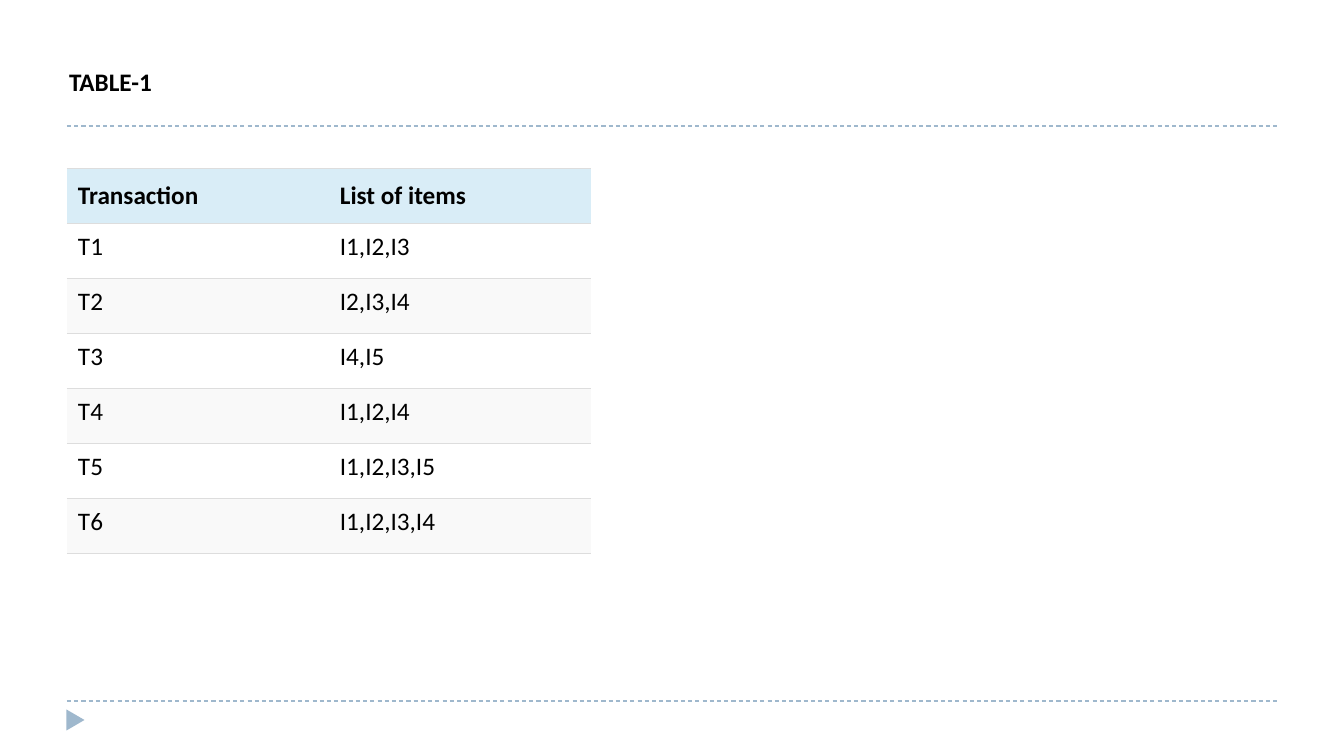
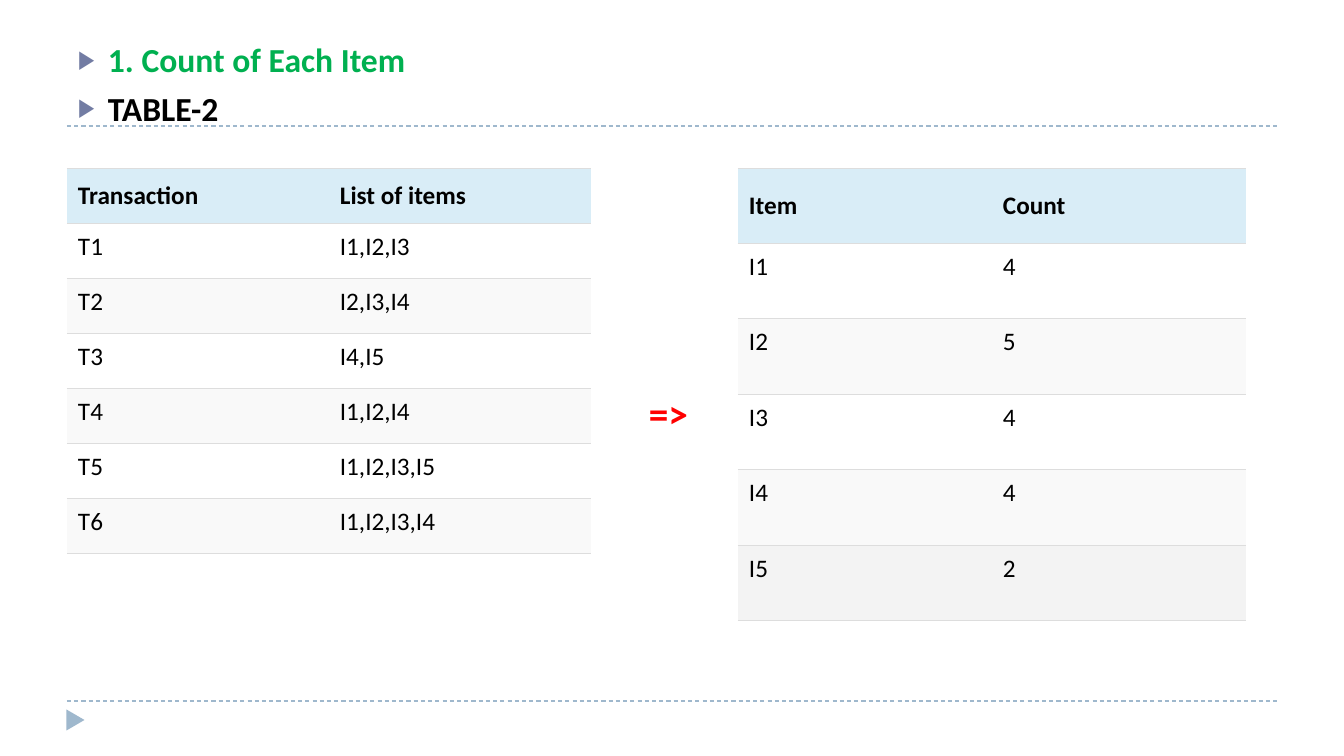
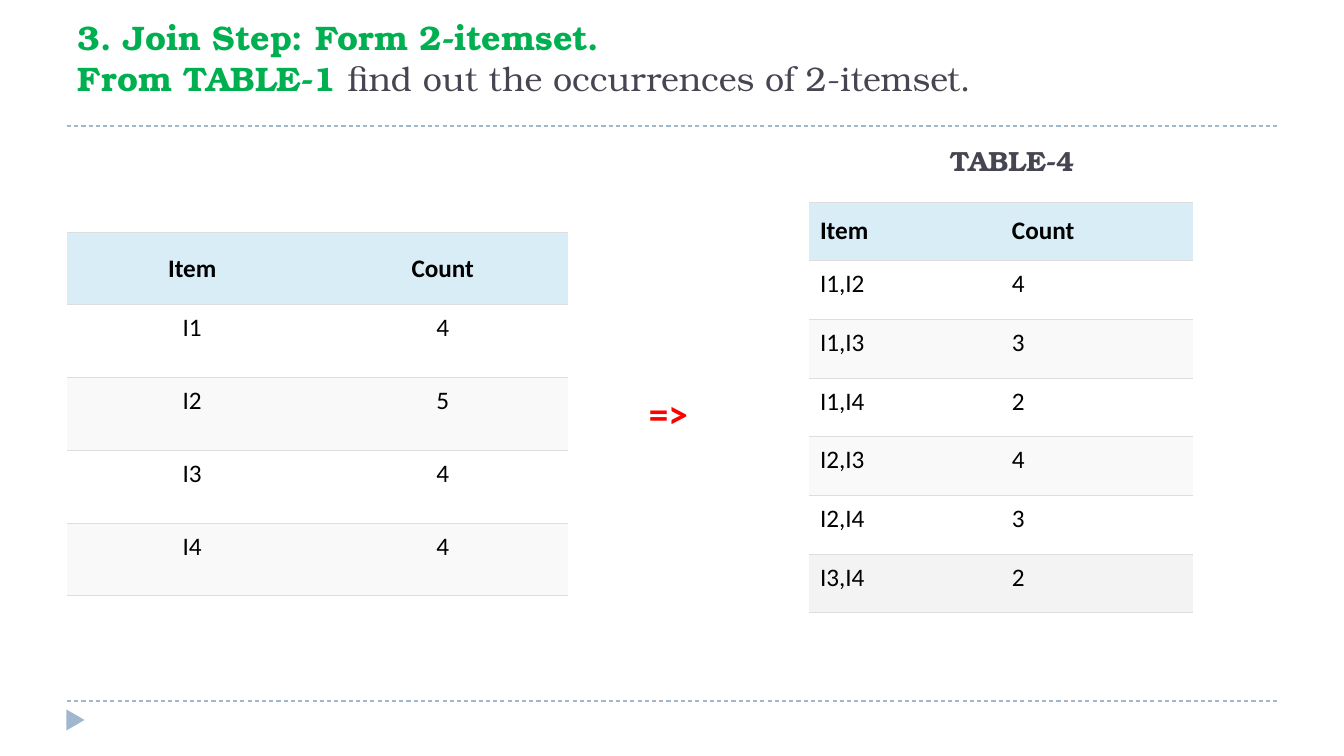
from dataclasses import dataclass

from lxml import etree
from pptx import Presentation
from pptx.dml.color import RGBColor
from pptx.enum.dml import MSO_LINE
from pptx.enum.shapes import MSO_CONNECTOR, MSO_SHAPE
from pptx.enum.text import MSO_ANCHOR as Anchor, MSO_AUTO_SIZE as AutoSize, PP_ALIGN as Align
from pptx.oxml import parse_xml
from pptx.oxml.ns import nsdecls, qn
from pptx.util import Pt


@dataclass(frozen=True)
class Style:
    size: float
    color: str
    bold: bool = True
    font: str = "Calibri"


class Theme:
    # Colours
    frame = "9FB8CD"
    bullet = "727CA3"
    header_fill = "D9EDF7"
    row_fills = ("FFFFFF", "F9F9F9")
    last_fill = "F3F3F3"
    rule = "DDDDDD"
    # Text styles
    table_head = Style(18, "000000")
    table_body = Style(18, "000000", bold=False)
    label = Style(18, "000000")
    step = Style(24, "00B050")
    table_name = Style(24, "000000")
    arrow = Style(28, "FF0000")
    join_step = Style(24.3, "00B050", font="TeX Gyre Bonum")
    join_text = Style(24.3, "464653", bold=False, font="TeX Gyre Bonum")
    join_label = Style(19.8, "464653", font="TeX Gyre Bonum")


# Content
TRANSACTIONS = [
    ("Transaction", "List of items"),
    ("T1", "I1,I2,I3"),
    ("T2", "I2,I3,I4"),
    ("T3", "I4,I5"),
    ("T4", "I1,I2,I4"),
    ("T5", "I1,I2,I3,I5"),
    ("T6", "I1,I2,I3,I4"),
]
FREQUENT_ITEMS = [("Item", "Count"), ("I1", "4"), ("I2", "5"), ("I3", "4"), ("I4", "4")]
ITEM_COUNTS = FREQUENT_ITEMS + [("I5", "2")]
PAIR_COUNTS = [
    ("Item", "Count"),
    ("I1,I2", "4"),
    ("I1,I3", "3"),
    ("I1,I4", "2"),
    ("I2,I3", "4"),
    ("I2,I4", "3"),
    ("I3,I4", "2"),
]
TABLE_1_TITLE = [[("TABLE-1", Theme.label)]]
COUNT_STEP = [
    [("1. Count of Each Item", Theme.step)],
    [("TABLE-2", Theme.table_name)],
]
JOIN_STEP = [
    [("3. Join Step: Form 2-itemset.", Theme.join_step)],
    [("From TABLE-1 ", Theme.join_step),
     ("find out the occurrences of 2-itemset.", Theme.join_text)],
]
TABLE_4_LABEL = [[("TABLE-4", Theme.join_label)]]
ARROW = [[("=>", Theme.arrow)]]

# Geometry in px: left, top, width, height
SLIDE_WIDTH, SLIDE_HEIGHT = 1344, 756
EMU_PER_PX = 12192000 / SLIDE_WIDTH
MARGIN, CONTENT_WIDTH = 67, 1210
RULE_TOPS = (126, 701)
MARKER_BOX = (65, 711, 21, 18)
TRANSACTIONS_BOX = (MARGIN, 168, 524, 386)
ARROW_BOX = (639, 384, 67, 57)
TEXT_INSETS = (10, 5)
PLACEHOLDER_INSETS = (11, 6)
CELL_INSETS = (11, 8)
BULLET_INDENT = 30
TITLE_ONLY, TITLE_AND_CONTENT = 5, 1


def px(*lengths):
    return [round(length * EMU_PER_PX) for length in lengths]


def rgb(color):
    return RGBColor.from_string(color)


def apply_style(font, style):
    font.name, font.size, font.bold = style.font, Pt(style.size), style.bold
    font.color.rgb = rgb(style.color)


def add_bullet(paragraph):
    properties = paragraph._p.get_or_add_pPr()
    [indent] = px(BULLET_INDENT)
    properties.set("marL", str(indent))
    properties.set("indent", str(-indent))
    color = etree.SubElement(properties, qn("a:buClr"))
    etree.SubElement(color, qn("a:srgbClr"), val=Theme.bullet)
    etree.SubElement(properties, qn("a:buSzPct"), val="76000")
    etree.SubElement(properties, qn("a:buChar"), char="▶")


def fill_text(shape, box, paragraphs, insets=TEXT_INSETS, wrap=False, bullets=False, gap=0):
    """Place a text box or placeholder and write its styled paragraphs."""
    shape.left, shape.top, shape.width, shape.height = px(*box)
    frame = shape.text_frame
    frame.word_wrap, frame.auto_size = wrap, AutoSize.NONE
    frame.vertical_anchor = Anchor.TOP
    frame.margin_left, frame.margin_top = frame.margin_right, frame.margin_bottom = px(*insets)
    for index, runs in enumerate(paragraphs):
        paragraph = frame.add_paragraph() if index else frame.paragraphs[0]
        paragraph.alignment = Align.LEFT
        paragraph.space_before = Pt(gap if index else 0)
        if bullets:
            add_bullet(paragraph)
        for text, style in runs:
            run = paragraph.add_run()
            run.text = text
            if len(runs) > 1:
                apply_style(run.font, style)
        if len(runs) == 1:
            apply_style(paragraph.font, runs[0][1])


def add_text(slide, box, paragraphs, **options):
    fill_text(slide.shapes.add_textbox(*px(*box)), box, paragraphs, **options)


def add_cell_rules(cell):
    properties = cell._tc.get_or_add_tcPr()
    for side in ("lnB", "lnT"):
        properties.insert(0, parse_xml(
            f'<a:{side} {nsdecls("a")} w="{Pt(0.75)}"><a:solidFill>'
            f'<a:srgbClr val="{Theme.rule}"/></a:solidFill></a:{side}>'))


def add_data_table(slide, box, rows, align=Align.LEFT, shade_last=False):
    left, top, width, height = px(*box)
    table = slide.shapes.add_table(len(rows), len(rows[0]), left, top, width, height).table
    table.first_row = table.horz_banding = False
    # Plain table style without a grid
    table._tbl.tblPr.find(qn("a:tableStyleId")).text = "{2D5ABB26-0587-4C30-8999-92F81FD0307C}"
    for row_index, values in enumerate(rows):
        table.rows[row_index].height = height // len(rows)
        is_header = row_index == 0
        if is_header:
            fill = Theme.header_fill
        elif shade_last and row_index == len(rows) - 1:
            fill = Theme.last_fill
        else:
            fill = Theme.row_fills[(row_index - 1) % 2]
        for column_index, value in enumerate(values):
            cell = table.cell(row_index, column_index)
            cell.margin_left, cell.margin_top = cell.margin_right, cell.margin_bottom = px(*CELL_INSETS)
            cell.vertical_anchor = Anchor.MIDDLE if is_header else Anchor.TOP
            cell.fill.solid()
            cell.fill.fore_color.rgb = rgb(fill)
            add_cell_rules(cell)
            cell.text = value
            paragraph = cell.text_frame.paragraphs[0]
            paragraph.alignment = align
            apply_style(paragraph.font, Theme.table_head if is_header else Theme.table_body)


def add_master_frame(slide):
    """Draw the dashed rules and corner marker, then move them to the master."""
    parts = []
    for top in RULE_TOPS:
        rule = slide.shapes.add_connector(
            MSO_CONNECTOR.STRAIGHT, *px(MARGIN, top, MARGIN + CONTENT_WIDTH, top))
        rule.line.color.rgb = rgb(Theme.frame)
        rule.line.width, rule.line.dash_style = Pt(0.75), MSO_LINE.DASH
        etree.SubElement(rule.element.spPr, qn("a:effectLst"))
        parts.append(rule)
    marker = slide.shapes.add_shape(MSO_SHAPE.ISOSCELES_TRIANGLE, *px(*MARKER_BOX))
    marker.rotation = 90
    marker.shadow.inherit = False
    marker.fill.solid()
    marker.fill.fore_color.rgb = rgb(Theme.frame)
    marker.line.fill.background()
    parts.append(marker)
    first_placeholder = slide.slide_layout.slide_master.placeholders[0].element
    for number, part in enumerate(parts, start=101):
        part.element.xpath(".//p:cNvPr")[0].set("id", str(number))
        first_placeholder.addprevious(part.element)


def build_transactions(slide):
    fill_text(slide.shapes.title, (59, 61, 128, 40), TABLE_1_TITLE)
    add_data_table(slide, TRANSACTIONS_BOX, TRANSACTIONS)


def build_item_counts(slide):
    title = slide.shapes.title.element
    title.getparent().remove(title)
    fill_text(slide.placeholders[1], (MARGIN, 33, CONTENT_WIDTH, 642), COUNT_STEP,
              insets=PLACEHOLDER_INSETS, wrap=True, bullets=True, gap=6)
    add_data_table(slide, (738, 168, 508, 453), ITEM_COUNTS, shade_last=True)
    add_data_table(slide, TRANSACTIONS_BOX, TRANSACTIONS)
    add_text(slide, ARROW_BOX, ARROW)


def build_join_step(slide):
    fill_text(slide.shapes.title, (MARGIN, 11, CONTENT_WIDTH, 93), JOIN_STEP,
              insets=PLACEHOLDER_INSETS, wrap=True)
    add_text(slide, (950, 144, 130, 34), TABLE_4_LABEL, insets=(0, 0))
    add_data_table(slide, (809, 202, 384, 411), PAIR_COUNTS, shade_last=True)
    add_data_table(slide, (MARGIN, 232, 501, 364), FREQUENT_ITEMS, align=Align.CENTER)
    add_text(slide, ARROW_BOX, ARROW)


def main():
    presentation = Presentation()
    presentation.slide_width, presentation.slide_height = px(SLIDE_WIDTH, SLIDE_HEIGHT)
    builders = [
        (TITLE_ONLY, build_transactions),
        (TITLE_AND_CONTENT, build_item_counts),
        (TITLE_ONLY, build_join_step),
    ]
    for layout, build in builders:
        build(presentation.slides.add_slide(presentation.slide_layouts[layout]))
    add_master_frame(presentation.slides[0])
    presentation.save("out.pptx")


if __name__ == "__main__":
    main()
